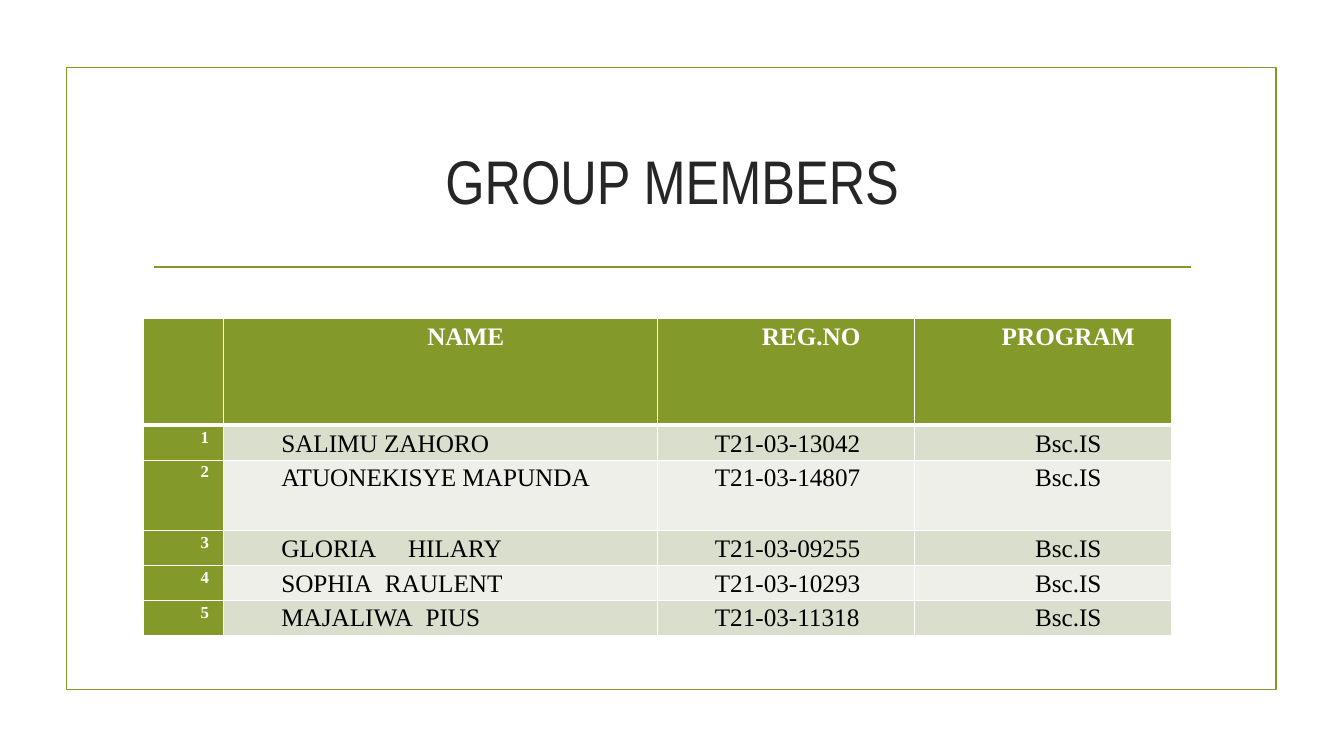
"""Build the group members slide with its title and register table."""
from dataclasses import dataclass

from lxml import etree
from pptx import Presentation
from pptx import util as u
from pptx.dml.color import RGBColor
from pptx.enum import shapes, text
from pptx.oxml import ns
from pptx.slide import Slide
from pptx.table import _Cell as Cell
from pptx.text.text import TextFrame


@dataclass(frozen=True)
class Theme:
    green: str = "83992A"
    white: str = "FFFFFF"
    black: str = "000000"
    heading: str = "262626"
    bands: tuple[str, str] = ("D9DECD", "EDEFE8")
    heading_font: str = "Arial Narrow"
    body_font: str = "Times New Roman"
    heading_size: float = 44
    body_size: float = 18
    number_size: float = 12
    rule: float = 1.25
    grid: float = 1
    header_grid: float = 3


@dataclass(frozen=True)
class Member:
    given: str
    family: str
    reg_no: str
    height: float = 0.34
    gap: float = 0


THEME = Theme()
PROGRAM = "Bsc.IS"
HEADINGS = ("", "NAME", "REG.NO", "PROGRAM")
HEADER_HEIGHT = 1.06
WIDTHS = (0.8, 4.3, 2.55, 2.55)
MEMBERS = (
    Member("SALIMU", "ZAHORO", "T21-03-13042"),
    Member("ATUONEKISYE", "MAPUNDA", "T21-03-14807", height=0.7),
    Member("GLORIA", "HILARY", "T21-03-09255", gap=18),
    Member("SOPHIA", "RAULENT", "T21-03-10293", gap=4.5),
    Member("MAJALIWA", "PIUS", "T21-03-11318", gap=4.5),
)
CENTER = text.PP_ALIGN.CENTER
JUSTIFY = text.PP_ALIGN.JUSTIFY


def write(frame: TextFrame, words: str, *, font: str = THEME.body_font,
          size: float = THEME.body_size, color: str = THEME.black,
          bold: bool = False, align: text.PP_ALIGN = CENTER,
          indent: float = 0, spacing: float = 1, gap: float = 0) -> None:
    """Write one paragraph, widening its first space by gap points."""
    paragraph = frame.paragraphs[0]
    paragraph.alignment = align
    paragraph.line_spacing = spacing
    paragraph._p.get_or_add_pPr().set("marL", str(u.Inches(indent)))
    pieces = words.partition(" ") if gap else (words,)
    for piece in pieces:
        run = paragraph.add_run()
        run.text = piece
        run.font.name = font
        run.font.size = u.Pt(size)
        run.font.bold = bold
        run.font.color.rgb = RGBColor.from_string(color)
        if piece == " ":
            run.font._element.set("spc", str(int(gap * 100)))


def add_frame(slide: Slide) -> None:
    """Draw the border of the slide and the rule under the title."""
    border = slide.shapes.add_shape(
        shapes.MSO_SHAPE.RECTANGLE,
        u.Inches(0.66), u.Inches(0.67), u.Inches(12), u.Inches(6.17))
    border.shadow.inherit = False
    border.fill.background()
    rule = slide.shapes.add_connector(
        shapes.MSO_CONNECTOR.STRAIGHT,
        u.Inches(1.53), u.Inches(2.65), u.Inches(11.81), u.Inches(2.65))
    etree.SubElement(rule._element.spPr, ns.qn("a:effectLst"))
    for outline in (border.line, rule.line):
        outline.color.rgb = RGBColor.from_string(THEME.green)
        outline.width = u.Pt(THEME.rule)


def add_title(slide: Slide, words: str) -> None:
    """Add the centred slide title."""
    title = slide.shapes.add_textbox(
        u.Inches(1.42), u.Inches(1.07), u.Inches(10.5), u.Inches(1.43))
    title.text_frame.word_wrap = True
    title.text_frame.vertical_anchor = text.MSO_ANCHOR.MIDDLE
    write(title.text_frame, words, font=THEME.heading_font,
          size=THEME.heading_size, color=THEME.heading)


def style_cell(cell: Cell, fill: str, *, top: float = THEME.grid,
               bottom: float = THEME.grid) -> None:
    """Set the borders, fill and margins of a cell."""
    properties = cell._tc.get_or_add_tcPr()
    edges = {"lnL": THEME.grid, "lnR": THEME.grid, "lnT": top, "lnB": bottom}
    for edge, width in edges.items():
        line = etree.SubElement(properties, ns.qn(f"a:{edge}"), w=str(u.Pt(width)))
        solid = etree.SubElement(line, ns.qn("a:solidFill"))
        etree.SubElement(solid, ns.qn("a:srgbClr"), val=THEME.white)
    cell.fill.solid()
    cell.fill.fore_color.rgb = RGBColor.from_string(fill)
    cell.margin_left = cell.margin_right = u.Inches(0.07)
    cell.margin_top = cell.margin_bottom = 0


def add_register(slide: Slide) -> None:
    """Add the table of members."""
    heights = (HEADER_HEIGHT, *(member.height for member in MEMBERS))
    register = slide.shapes.add_table(
        len(heights), len(WIDTHS), u.Inches(1.42), u.Inches(3.16),
        u.Inches(sum(WIDTHS)), u.Inches(sum(heights))).table
    for column, width in zip(register.columns, WIDTHS):
        column.width = u.Inches(width)
    for row, height in zip(register.rows, heights):
        row.height = u.Inches(height)

    for column, heading in enumerate(HEADINGS):
        cell = register.cell(0, column)
        style_cell(cell, THEME.green, bottom=THEME.header_grid)
        if heading:
            write(cell.text_frame, heading, color=THEME.white, bold=True,
                  indent=0.5, spacing=1.15)

    for number, member in enumerate(MEMBERS, start=1):
        band = THEME.bands[(number - 1) % 2]
        top = THEME.header_grid if number == 1 else THEME.grid
        entries = (str(number), f"{member.given} {member.family}",
                   member.reg_no, PROGRAM)
        for column, entry in enumerate(entries):
            cell = register.cell(number, column)
            is_number = column == 0
            style_cell(cell, THEME.green if is_number else band, top=top)
            write(cell.text_frame, entry, bold=is_number,
                  size=THEME.number_size if is_number else THEME.body_size,
                  color=THEME.white if is_number else THEME.black,
                  align=CENTER if entry == PROGRAM else JUSTIFY,
                  indent=0.5, spacing=1.15,
                  gap=member.gap if column == 1 else 0)


def main() -> None:
    """Build and save the presentation."""
    deck = Presentation()
    deck.slide_width, deck.slide_height = u.Inches(13.33), u.Inches(7.5)
    slide = deck.slides.add_slide(deck.slide_layouts[6])
    add_frame(slide)
    add_title(slide, "GROUP MEMBERS")
    add_register(slide)
    deck.save("out.pptx")


if __name__ == "__main__":
    main()
